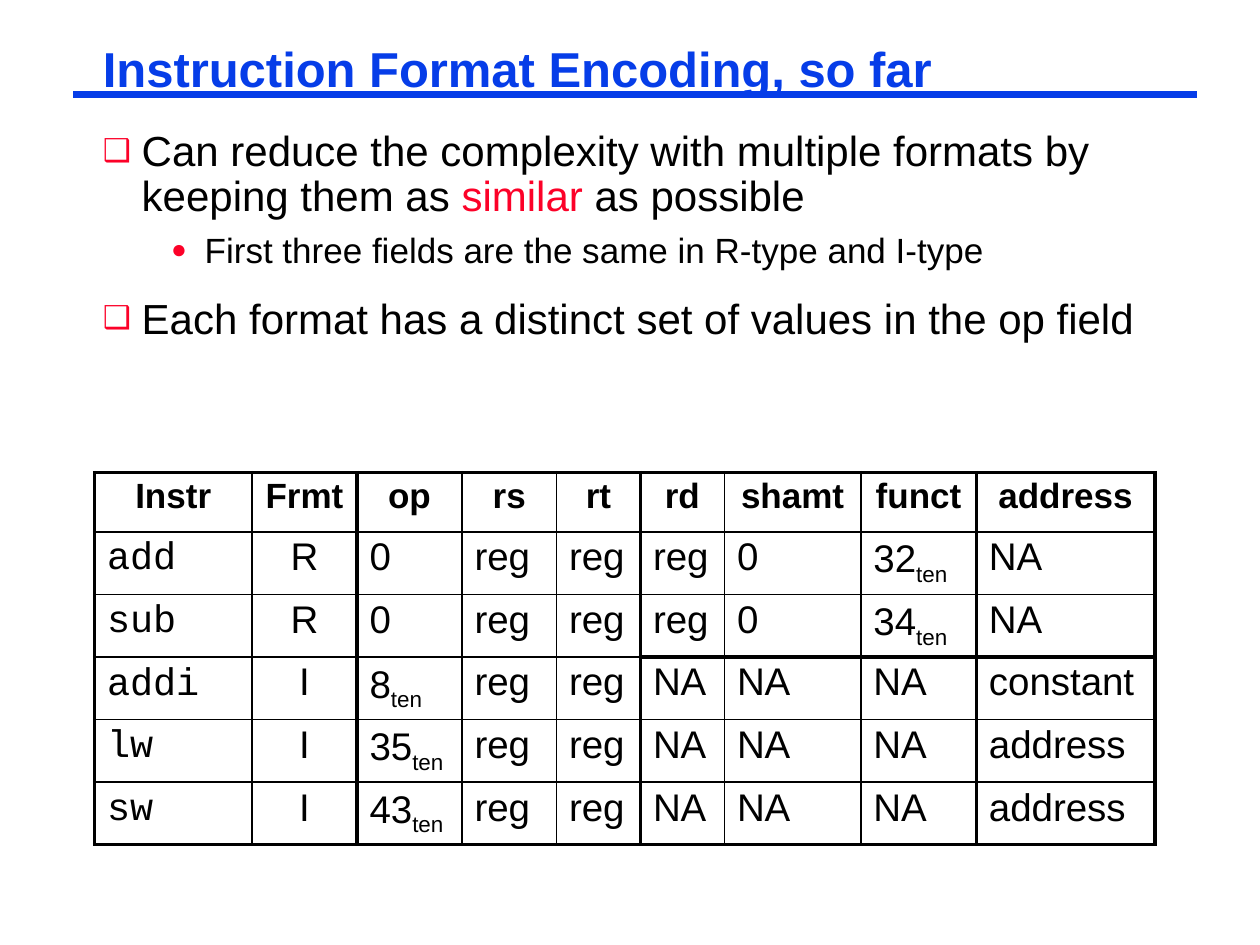
from dataclasses import dataclass

from lxml import etree
from pptx import Presentation
from pptx import util as u
from pptx.dml.color import RGBColor
from pptx.enum import shapes, text
from pptx.oxml.ns import qn

PX = 7620  # EMU per px, 120 px to the inch


@dataclass(frozen=True)
class Theme:
    blue: str = "063DE8"
    red: str = "FC0128"
    black: str = "000000"
    sans: str = "Arial"
    mono: str = "Courier New"
    title: int = 28
    body: int = 24
    sub: int = 20
    head: int = 20
    cell: int = 22
    rule: float = 4.5
    thin: float = 1
    thick: float = 2.25


T = Theme()

# text, level
POINTS = [
    ("Can reduce the complexity with multiple formats by keeping them as *similar* as possible", 0),
    ("First three fields are the same in R-type and I-type", 1),
    ("Each format has a distinct set of values in the op field", 0),
]
# bullet, left margin, hanging indent, line spacing, space before in %, size
LEVELS = [("❑", 37, 37, 0.9, 65, T.body), ("●", 97, 32, 0.85, 40, T.sub)]

COLUMNS = [150, 100, 100, 90, 80, 80, 130, 110, 170]
ROWS = [row.split() for row in (
    "Instr Frmt op rs rt rd shamt funct address",
    "add R 0 reg reg reg 0 32_ten NA",
    "sub R 0 reg reg reg 0 34_ten NA",
    "addi I 8_ten reg reg NA NA NA constant",
    "lw I 35_ten reg reg NA NA NA address",
    "sw I 43_ten reg reg NA NA NA address",
)]
THICK_VERTICALS = {0, 2, 5, 8, 9}
THICK_HORIZONTALS = {0, 6}
I_TYPE_ROW, R_ONLY_COLUMN = 3, 5


def px(*values):
    return [u.Emu(v * PX) for v in values]


def add(parent, tag, **attributes):
    return etree.SubElement(parent, qn(tag), attributes)


def set_font(p, size, color=T.black, name=T.sans, bold=False):
    p.font.name, p.font.size, p.font.bold = name, u.Pt(size), bold
    p.font.color.rgb = RGBColor.from_string(color)


def set_spacing(p, lines, before):
    """Line spacing as a factor, space before in percent of the line."""
    p.line_spacing = lines
    add(add(p._p.get_or_add_pPr(), "a:spcBef"), "a:spcPct", val=str(before * 1000))


def set_bullet(p, char, left, hanging):
    pPr = p._p.get_or_add_pPr()
    pPr.set("marL", str(left * PX))
    pPr.set("indent", str(-hanging * PX))
    add(add(pPr, "a:buClr"), "a:srgbClr", val=T.red)
    add(pPr, "a:buSzPct", val="75000")
    add(pPr, "a:buFont", typeface=T.sans)
    add(pPr, "a:buChar", char=char)


def add_text_frame(slide, box):
    tf = slide.shapes.add_textbox(*px(*box)).text_frame
    tf.word_wrap = True
    tf.margin_left = tf.margin_right = px(8)[0]
    tf.margin_top = tf.margin_bottom = px(4)[0]
    return tf


def add_title(slide, box, title):
    x, y, w, h = box
    line = slide.shapes.add_connector(
        shapes.MSO_CONNECTOR.STRAIGHT, *px(x - 20, y + 50, x + 1050, y + 50))
    line.line.color.rgb = RGBColor.from_string(T.blue)
    line.line.width = u.Pt(T.rule)
    add(line._element.spPr, "a:effectLst")
    p = add_text_frame(slide, box).paragraphs[0]
    p.text = title
    p.line_spacing = 0.87
    set_font(p, T.title, T.blue, bold=True)


def add_points(slide, box, points):
    """Bulleted list; words between asterisks are shown in red."""
    tf = add_text_frame(slide, box)
    for i, (words, level) in enumerate(points):
        p = tf.add_paragraph() if i else tf.paragraphs[0]
        p.level = level
        char, left, hanging, lines, before, size = LEVELS[level]
        set_spacing(p, lines, before)
        set_bullet(p, char, left, hanging)
        set_font(p, size)
        for j, part in enumerate(words.split("*")):
            r = p.add_run()
            r.text = part
            if j % 2:
                r.font.color.rgb = RGBColor.from_string(T.red)


def fill_cell(cell, value, row, col):
    """Write the value; what follows an underscore is a subscript."""
    p = cell.text_frame.paragraphs[0]
    main, _, subscript = value.partition("_")
    p.add_run().text = main
    if subscript:
        r = p.add_run()
        r.text = subscript
        r.font._element.set("baseline", "-25000")
    if row == 0 or col == 1:
        p.alignment = text.PP_ALIGN.CENTER
    set_spacing(p, 0.95, 25)
    if row == 0:
        set_font(p, T.head, bold=True)
    else:
        set_font(p, T.cell, name=T.sans if col else T.mono)


def set_borders(cell, row, col):
    def horizontal(edge):
        return edge in THICK_HORIZONTALS or (edge == I_TYPE_ROW and col >= R_ONLY_COLUMN)

    sides = {
        "L": col in THICK_VERTICALS,
        "R": col + 1 in THICK_VERTICALS,
        "T": horizontal(row),
        "B": horizontal(row + 1),
    }
    tcPr = cell._tc.get_or_add_tcPr()
    for i, (side, is_thick) in enumerate(sides.items()):
        width = u.Pt(T.thick if is_thick else T.thin)
        ln = etree.Element(qn(f"a:ln{side}"), w=str(int(width)))
        add(add(ln, "a:solidFill"), "a:srgbClr", val=T.black)
        tcPr.insert(i, ln)


def add_format_table(slide, box, rows):
    table = slide.shapes.add_table(len(rows), len(COLUMNS), *px(*box)).table
    table.first_row = table.horz_banding = False
    for column, width in zip(table.columns, COLUMNS):
        column.width = px(width)[0]
    for i, row in enumerate(rows):
        for j, value in enumerate(row):
            cell = table.cell(i, j)
            cell.fill.background()
            fill_cell(cell, value, i, j)
            set_borders(cell, i, j)


def main():
    prs = Presentation()
    prs.slide_width, prs.slide_height = px(1200, 900)
    slide = prs.slides.add_slide(prs.slide_layouts[6])
    add_title(slide, (90, 40, 964, 55), "Instruction Format Encoding, so far")
    add_points(slide, (90, 120, 1050, 292), POINTS)
    add_format_table(slide, (90, 450, sum(COLUMNS), 339), ROWS)
    prs.save("out.pptx")


if __name__ == "__main__":
    main()
